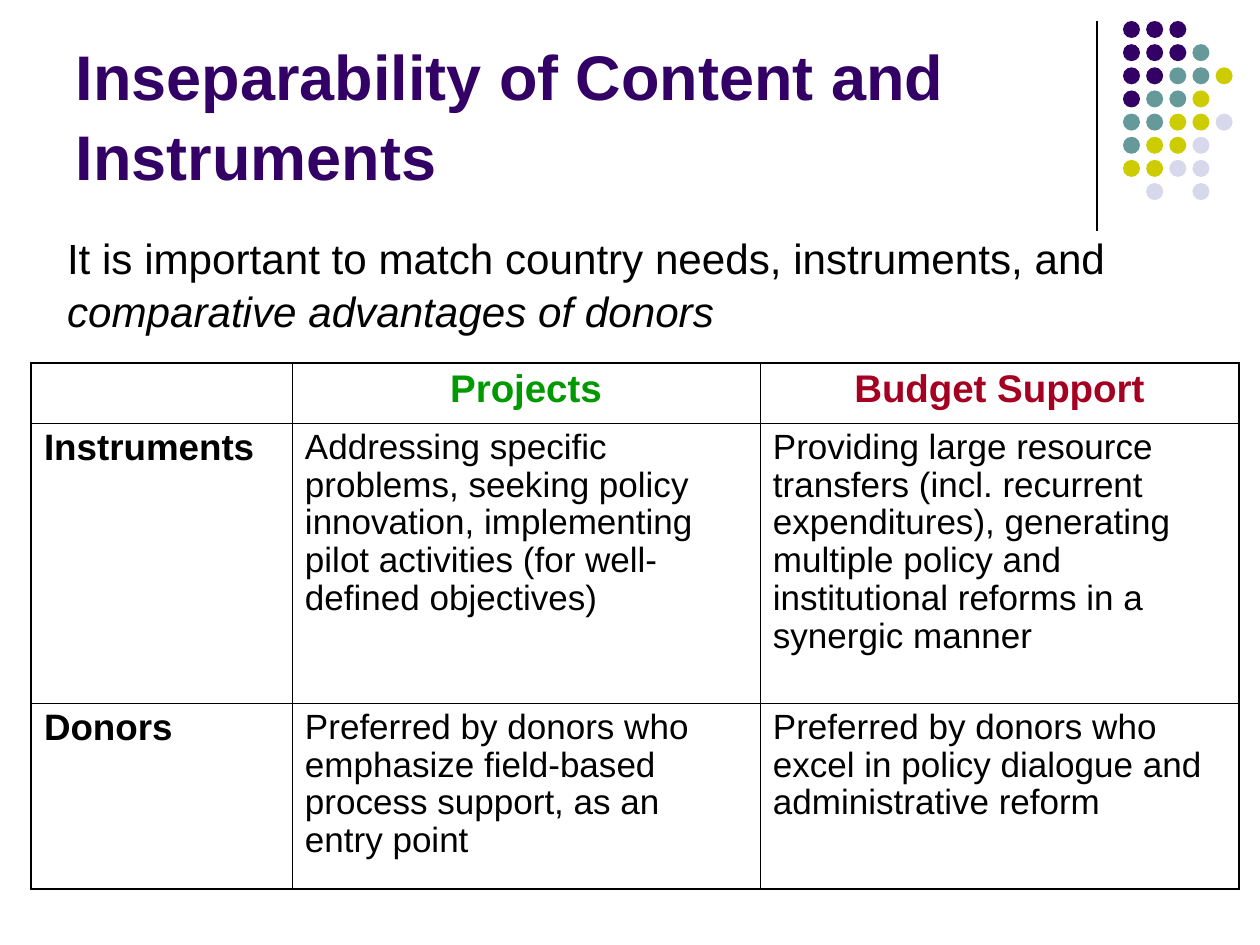
"""Build the slide on matching aid instruments to donors."""
import pptx
import pptx.dml.color
import pptx.enum.shapes
import pptx.enum.text
import pptx.oxml
import pptx.oxml.ns
import pptx.util
from dataclasses import dataclass

TITLE = "Inseparability of Content and Instruments"
LEAD = [
    ("It is important to match country needs, instruments, and ", False),
    ("comparative advantages of donors", True),
]
ROWS = [
    ("", "Projects", "Budget Support"),
    ("Instruments",
     "Addressing specific problems, seeking policy innovation, implementing "
     "pilot activities (for well-defined objectives)",
     "Providing large resource transfers (incl. recurrent expenditures), generating "
     "multiple policy and institutional reforms in a synergic manner"),
    ("Donors",
     "Preferred by donors who emphasize field-based process support, as an entry point",
     "Preferred by donors who excel in policy dialogue and administrative reform"),
]
DOTS = ["PPP", "PPPT", "PPTTY", "PTTY", "TTYYL", "TYYL", "YYLL", " L L"]

PAGE = (1260, 945)
TITLE_BOX = (63, 16, 1040, 179)
LEAD_BOX = (54, 224, 1176, 116)
TABLE_ORIGIN = (31, 363)
COLUMNS = (261, 468, 479)
HEIGHTS = (60, 280, 186)
RULE = (1097, 21, 1097, 231)
DOT_ORIGIN, DOT_SIZE, DOT_STEP = (1123, 21), 17, 23.15
MARGINS = dict(margin_left=13, margin_right=13, margin_top=6, margin_bottom=6)

ALIGN = pptx.enum.text.PP_ALIGN
ANCHOR = pptx.enum.text.MSO_ANCHOR


@dataclass(frozen=True)
class Theme:
    """Colours, font and sizes."""
    font: str = "Arial"
    ink: str = "000000"
    purple: str = "330066"
    teal: str = "669999"
    yellow: str = "CCCC00"
    lilac: str = "D8D8EC"
    green: str = "009900"
    red: str = "A50021"
    title: float = 36
    lead: float = 24.1
    header: float = 22
    label: float = 21
    cell: float = 20
    outer: float = 1.08
    inner: float = 0.45
    rule: float = 0.75


THEME = Theme()
DOT_COLOURS = {"P": THEME.purple, "T": THEME.teal, "Y": THEME.yellow, "L": THEME.lilac}
HEADER_COLOURS = (THEME.ink, THEME.green, THEME.red)


def px(value):
    """Turn slide pixels into EMU."""
    return pptx.util.Emu(round(value * 914400 / 126))


def colour(code):
    """Return a colour from its hex code."""
    return pptx.dml.color.RGBColor.from_string(code)


def apply(target, **values):
    """Set each named attribute on the target."""
    for name, value in values.items():
        setattr(target, name, value)


def place(shape, box):
    """Move and size a shape."""
    apply(shape, **dict(zip(("left", "top", "width", "height"), map(px, box))))


def write(para, spans, size, code=THEME.ink, bold=False, align=ALIGN.LEFT, spacing=1.05):
    """Fill a paragraph with (text, italic) spans."""
    apply(para, alignment=align, line_spacing=spacing, space_before=pptx.util.Pt(0))
    for text, italic in spans:
        span = para.add_run()
        span.text = text
        apply(span.font, name=THEME.font, size=pptx.util.Pt(size), bold=bold, italic=italic)
        span.font.color.rgb = colour(code)


def set_frame(frame, **values):
    """Fix the margins, wrapping and sizing of a text frame."""
    apply(frame, word_wrap=True, auto_size=pptx.enum.text.MSO_AUTO_SIZE.NONE,
          **{name: px(size) for name, size in MARGINS.items()})
    apply(frame, **values)


def add_rule(page):
    """Draw the vertical rule beside the dots."""
    rule = page.shapes.add_connector(
        pptx.enum.shapes.MSO_CONNECTOR.STRAIGHT, *map(px, RULE))
    rule.line.color.rgb = colour(THEME.ink)
    rule.line.width = pptx.util.Pt(THEME.rule)
    effects = pptx.oxml.parse_xml(f"<a:effectLst {pptx.oxml.ns.nsdecls('a')}/>")
    rule.element.spPr.append(effects)


def add_dots(page):
    """Draw the dot pattern in the corner."""
    left, top = DOT_ORIGIN
    for row, pattern in enumerate(DOTS):
        for column, key in enumerate(pattern):
            if key not in DOT_COLOURS:
                continue
            dot = page.shapes.add_shape(
                pptx.enum.shapes.MSO_SHAPE.OVAL,
                px(left + column * DOT_STEP), px(top + row * DOT_STEP),
                px(DOT_SIZE), px(DOT_SIZE))
            dot.shadow.inherit = False
            dot.fill.solid()
            dot.fill.fore_color.rgb = colour(DOT_COLOURS[key])
            dot.line.fill.background()


def add_borders(cell, row, column):
    """Give a cell heavy lines on the table edge and light lines inside."""
    edges = {"L": column == 0, "R": column == len(COLUMNS) - 1,
             "T": row == 0, "B": row == len(HEIGHTS) - 1}
    properties = cell._tc.get_or_add_tcPr()
    for side, is_outer in edges.items():
        width = pptx.util.Pt(THEME.outer if is_outer else THEME.inner)
        properties.append(pptx.oxml.parse_xml(
            f'<a:ln{side} {pptx.oxml.ns.nsdecls("a")} w="{int(width)}"><a:solidFill>'
            f'<a:srgbClr val="{THEME.ink}"/></a:solidFill></a:ln{side}>'))


def cell_format(row, column):
    """Choose the text format of a table cell."""
    if row == 0:
        return dict(size=THEME.header, code=HEADER_COLOURS[column], bold=True,
                    align=ALIGN.CENTER)
    if column == 0:
        return dict(size=THEME.label, bold=True)
    return dict(size=THEME.cell)


def add_comparison(page):
    """Build the table comparing projects with budget support."""
    box = (*TABLE_ORIGIN, sum(COLUMNS), sum(HEIGHTS))
    table = page.shapes.add_table(len(HEIGHTS), len(COLUMNS), *map(px, box)).table
    apply(table, first_row=False, horz_banding=False)
    for column, width in zip(table.columns, COLUMNS):
        column.width = px(width)
    for row, height in zip(table.rows, HEIGHTS):
        row.height = px(height)
    for row, texts in enumerate(ROWS):
        for column, text in enumerate(texts):
            cell = table.cell(row, column)
            apply(cell, vertical_anchor=ANCHOR.TOP,
                  **{name: px(size) for name, size in MARGINS.items()})
            add_borders(cell, row, column)
            cell.fill.background()
            if text:
                write(cell.text_frame.paragraphs[0], [(text, False)], spacing=0.97,
                      **cell_format(row, column))


def main():
    """Assemble and save the deck."""
    deck = pptx.Presentation()
    apply(deck, slide_width=px(PAGE[0]), slide_height=px(PAGE[1]))
    page = deck.slides.add_slide(deck.slide_layouts[5])
    add_rule(page)
    add_dots(page)
    add_comparison(page)
    lead = page.shapes.add_textbox(*map(px, LEAD_BOX))
    set_frame(lead.text_frame, vertical_anchor=ANCHOR.TOP)
    write(lead.text_frame.paragraphs[0], LEAD, THEME.lead)
    title = page.shapes.title
    place(title, TITLE_BOX)
    set_frame(title.text_frame, vertical_anchor=ANCHOR.BOTTOM, margin_bottom=px(2))
    write(title.text_frame.paragraphs[0], [(TITLE, False)], THEME.title,
          THEME.purple, bold=True)
    deck.save("out.pptx")


if __name__ == "__main__":
    main()
